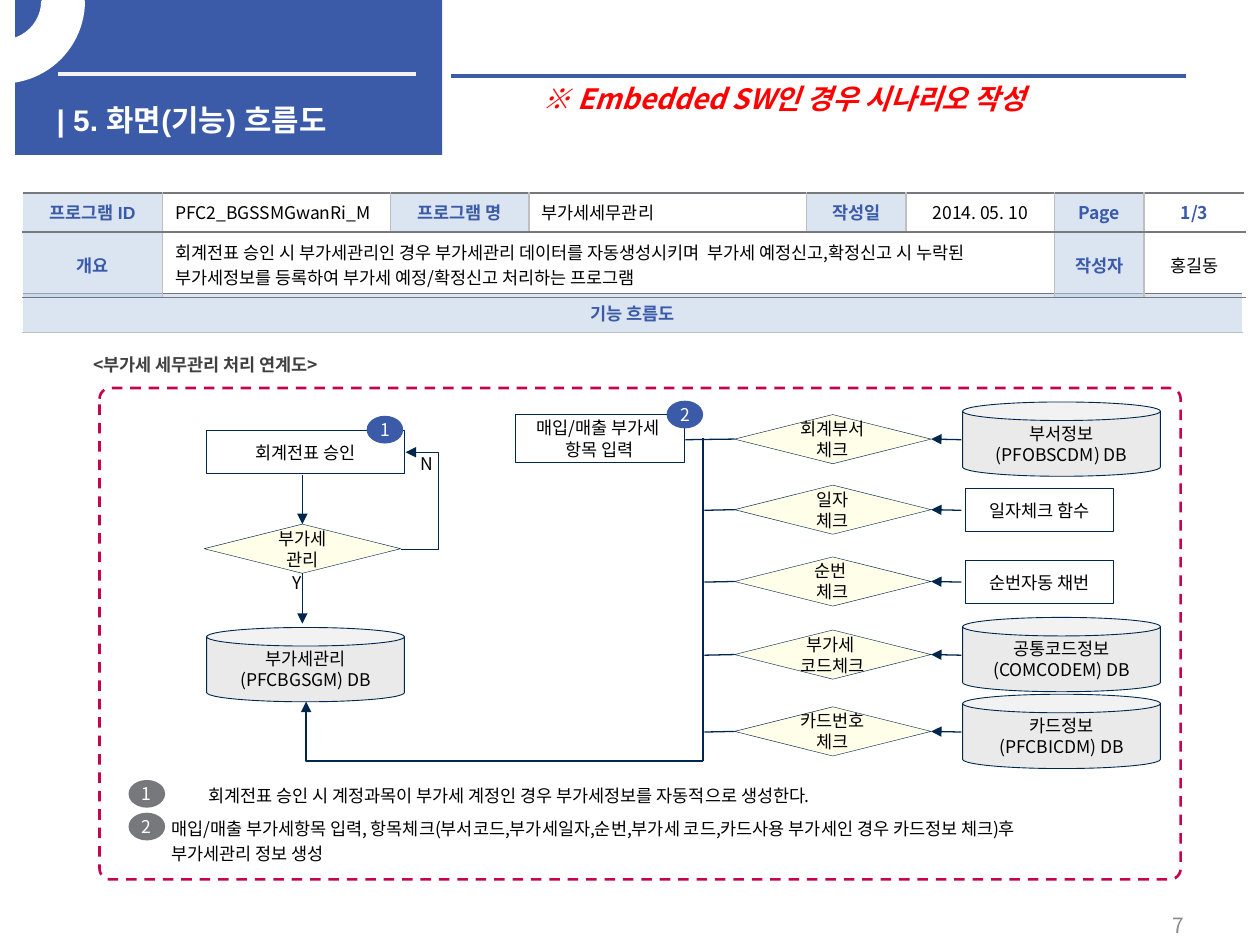
from lxml import etree
from pptx import Presentation
from pptx.dml.color import RGBColor
from pptx.enum.dml import MSO_LINE
from pptx.enum.shapes import MSO_CONNECTOR, MSO_SHAPE
from pptx.enum.text import MSO_ANCHOR, MSO_AUTO_SIZE, PP_ALIGN
from pptx.oxml.ns import qn
from pptx.util import Inches, Pt

RECT, CAN, OVAL = MSO_SHAPE.RECTANGLE, MSO_SHAPE.CAN, MSO_SHAPE.OVAL
CHECK, ROUND, ARC = MSO_SHAPE.FLOWCHART_DECISION, MSO_SHAPE.ROUNDED_RECTANGLE, MSO_SHAPE.BLOCK_ARC
LINE, ELBOW = MSO_CONNECTOR.STRAIGHT, MSO_CONNECTOR.ELBOW
LEFT, MID, RIGHT = PP_ALIGN.LEFT, PP_ALIGN.CENTER, PP_ALIGN.RIGHT
TOP, CENTER = MSO_ANCHOR.TOP, MSO_ANCHOR.MIDDLE
DASH, FIXED = MSO_LINE.DASH, MSO_AUTO_SIZE.NONE
FONT = "Noto Sans CJK KR"
BLUE, NAVY, GRAY, PALE = "3B5AA8", "00264C", "77787B", "B9CDE5"
SILVER, WHITE, BLACK, CREAM = "BFBFBF", "FFFFFF", "000000", "FFFFE9"
color = RGBColor.from_string


def write(frame, text, tint=BLACK, align=MID, size=10, bold=False, face=FONT):
    frame.text = text
    for para in frame.paragraphs:
        para.alignment = align
        for run in para.runs:
            run.font.size = Pt(size)
            run.font.bold = bold
            run.font.name = face
            run.font.color.rgb = color(tint)
            etree.SubElement(run._r.get_or_add_rPr(), qn("a:ea"), typeface=FONT)


def block(kind, x, y, w, h, fill=None, edge=None, width=0.5, text="", pad=0.04, tint=BLACK):
    shape = slide.shapes.add_shape(kind, Inches(x), Inches(y), Inches(w), Inches(h))
    shape.shadow.inherit = False
    if fill:
        shape.fill.solid()
        shape.fill.fore_color.rgb = color(fill)
    else:
        shape.fill.background()
    if edge:
        shape.line.color.rgb = color(edge)
        shape.line.width = Pt(width)
    else:
        shape.line.fill.background()
    if text:
        frame = shape.text_frame
        frame.word_wrap = kind != OVAL
        frame.vertical_anchor = CENTER
        if kind != CHECK:
            frame.margin_left = frame.margin_right = Inches(pad)
            frame.margin_top = frame.margin_bottom = Inches(pad)
        write(frame, text, tint)
    return shape


deck = Presentation()
deck.slide_width, deck.slide_height = Inches(10), Inches(7.5)
slide = deck.slides.add_slide(deck.slide_layouts[5])

about = ("회계전표 승인 시 부가세관리인 경우 부가세관리 데이터를 자동생성시키며  부가세 예정신고,확정신고 시 누락된 "
         "부가세정보를 등록하여 부가세 예정/확정신고 처리하는 프로그램")
flow = (0.18, 2.33, [9.68], [0.31, 4.15], [
    [("기능 흐름도", "head")],
    [("", "blank")]])
info = (0.18, 1.53, [1.11, 1.81, 1.1, 2.2, 0.79, 1.18, 0.71, 0.8], [0.31, 0.52], [
    [("프로그램 ID", "head"), ("PFC2_BGSSMGwanRi_M", "left"), ("프로그램 명", "head"),
     ("부가세세무관리", "left"), ("작성일", "head"), ("2014. 05. 10", "mid"),
     ("Page", "head"), ("1/3", "bold")],
    [("개요", "head"), (about, "left"), None, None, None, None,
     ("작성자", "head"), ("홍길동", "mid")]])

for x, y, cols, rows, cells in (flow, info):
    table = slide.shapes.add_table(len(rows), len(cols), Inches(x), Inches(y),
                                   Inches(sum(cols)), Inches(sum(rows))).table
    table.first_row = table.horz_banding = False
    for col, w in zip(table.columns, cols):
        col.width = Inches(w)
    for row, h in zip(table.rows, rows):
        row.height = Inches(h)
    if len(cols) > 1:
        table.cell(1, 1).merge(table.cell(1, 5))
    for r, line in enumerate(cells):
        for c, item in enumerate(line):
            text, kind = item or ("", "span")
            cell = table.cell(r, c)
            cell.vertical_anchor = CENTER
            props = cell._tc.get_or_add_tcPr()
            single = len(cols) == 1
            sides = {"L": WHITE if c == 0 else SILVER,
                     "R": WHITE if c == len(cols) - 1 else SILVER,
                     "T": SILVER if kind == "blank" else GRAY,
                     "B": WHITE if kind == "blank" else SILVER if single else GRAY}
            for side, tint in sides.items():
                edge = etree.SubElement(props, qn("a:ln" + side), w=str(Pt(1)))
                solid = etree.SubElement(edge, qn("a:solidFill"))
                etree.SubElement(solid, qn("a:srgbClr"), val=tint)
            if kind == "head":
                cell.fill.solid()
                cell.fill.fore_color.rgb = color(PALE)
                tone = props.find(qn("a:solidFill")).find(qn("a:srgbClr"))
                etree.SubElement(tone, qn("a:alpha"), val="50000")
            else:
                cell.fill.background()
            if text:
                strong = kind in ("head", "bold")
                face = "Arial" if text in ("프로그램 ID", "개요") else FONT
                write(cell.text_frame, text, BLUE if strong else BLACK,
                      LEFT if kind == "left" else MID, bold=strong, face=face)

frame = block(ROUND, 0.79, 3.08, 8.58, 3.9, edge="C40452", width=1.5)
frame.adjustments[0] = 0.022
frame.line.dash_style = DASH

block(RECT, 1.64, 3.42, 1.57, 0.34, edge=NAVY, text="회계전표 승인")
block(CAN, 1.64, 4.98, 1.57, 0.59, "EAEAEA", NAVY, text="부가세관리\n(PFCBGSGM) DB")
tax = block(CHECK, 1.62, 4.16, 1.56, 0.39, CREAM, NAVY, 0.25, "부가세\n관리")
block(RECT, 4.09, 3.29, 1.34, 0.38, edge=NAVY, text="매입/매출 부가세 \n항목 입력")

joins = [
    (LINE, 2.4, 3.77, 2.4, 4.16, "tail", None, (tax, 0)),
    (LINE, 2.4, 4.55, 2.4, 4.95, "tail", (tax, 2), None),
    (ELBOW, 3.18, 4.36, 3.22, 3.59, "tail", None, None),
    (LINE, 5.58, 6.04, 5.58, 3.48, None, None, None),
    (ELBOW, 5.58, 6.04, 2.43, 5.57, "tail", None, None)]
steps = [
    (3.49, "회계부서\n체크", CAN, "부서정보\n(PFOBSCDM) DB"),
    (4.05, "일자\n체크", RECT, "일자체크 함수"),
    (4.62, "순번 \n체크", RECT, "순번자동 채번"),
    (5.2, "부가세 \n코드체크", CAN, "공통코드정보\n(COMCODEM) DB"),
    (5.81, "카드번호체크", CAN, "카드정보\n(PFCBICDM) DB")]
for i, (y, test, kind, text) in enumerate(steps):
    gem = block(CHECK, 5.83, y - 0.2, 1.56, 0.39, CREAM, NAVY, 0.25, test)
    if kind == CAN:
        block(CAN, 7.64, y - 0.3, 1.57, 0.59, "EAEAEA", NAVY, text=text)
    else:
        block(RECT, 7.66, y - 0.17, 1.18, 0.34, edge=NAVY, text=text)
    joins.append((LINE, 5.59 if i else 5.44, y, 5.83, y, None, None, (gem, 1)))
    joins.append((LINE, 7.39, y, 7.63, y, "head", (gem, 3), None))

for kind, x1, y1, x2, y2, arrow, start, end in joins:
    link = slide.shapes.add_connector(kind, Inches(x1), Inches(y1), Inches(x2), Inches(y2))
    link.line.color.rgb = color(NAVY)
    link.line.width = Pt(0.75)
    props = link.element.spPr
    if arrow:
        etree.SubElement(props.find(qn("a:ln")), qn(f"a:{arrow}End"), type="triangle")
    etree.SubElement(props, qn("a:effectLst"))
    if kind == ELBOW:
        geom = props.find(qn("a:prstGeom"))
        if x2 < x1:
            geom.set("prst", "bentConnector2")
        else:
            etree.SubElement(geom.find(qn("a:avLst")), qn("a:gd"), name="adj1", fmla="val 755500")
    if start:
        link.begin_connect(*start)
    if end:
        link.end_connect(*end)

for x, y, fill, text in ((5.29, 3.18, BLUE, "2"), (2.91, 3.3, BLUE, "1"),
                         (1.02, 6.19, GRAY, "1"), (1.02, 6.45, GRAY, "2")):
    block(OVAL, x, y, 0.29, 0.22, fill, text=text, pad=0.06, tint=WHITE)

block(RECT, 0.12, 0, 3.39, 1.23, BLUE)
for x1, x2, y, tint in ((0.46, 3.3, 0.59, "F2F2F2"), (3.58, 9.41, 0.6, BLUE)):
    rule = slide.shapes.add_connector(LINE, Inches(x1), Inches(y), Inches(x2), Inches(y))
    rule.line.color.rgb = color(tint)
    rule.line.width = Pt(2.25)
    etree.SubElement(rule.element.spPr, qn("a:effectLst"))

title = slide.shapes.title
title.left, title.top, title.width, title.height = Inches(0.35), Inches(0.76), Inches(3.07), Inches(0.32)
title.text_frame.word_wrap = True
title.text_frame.auto_size = FIXED
title.text_frame.vertical_anchor = TOP
write(title.text_frame, "| 5. 화면(기능) 흐름도", WHITE, LEFT, 17, True, "Arial")
title.element.getparent().append(title.element)

arc = block(ARC, -0.63, -0.63, 1.29, 1.28, WHITE, WHITE, 2)
for i, value in enumerate((161.59, 0, 0.25)):
    arc.adjustments[i] = value
arc.element.spPr.find(qn("a:xfrm")).set("flipV", "1")

second = ("매입/매출 부가세항목 입력, 항목체크(부서코드,부가세일자,순번,부가세 코드,카드사용 부가세인 경우 카드정보 체크)후\n"
          "부가세관리 정보 생성")
notes = [
    (0.64, 2.73, 5.43, 0.28, "<부가세 세무관리 처리 연계도>", "404040", LEFT, 10, True, True, 1.2),
    (2.22, 4.49, 0.28, 0.27, "Y", BLACK, MID, 10, False, False, 1),
    (3.23, 3.55, 0.31, 0.27, "N", BLACK, MID, 10, False, False, 1),
    (1.25, 6.15, 5.58, 0.28, "회계전표 승인 시 계정과목이 부가세 계정인 경우 부가세정보를 자동적으로 생성한다.",
     BLACK, MID, 10, False, False, 1.2),
    (1.26, 6.41, 7.77, 0.54, second, BLACK, LEFT, 10, False, False, 1.2),
    (4.21, 0.6, 5.59, 0.37, "※ Embedded SW인 경우 시나리오 작성", "FF0000", LEFT, 16, True, True, 1),
    (7.17, 7.24, 2.33, 0.21, "7", "8C8C8C", RIGHT, 12, False, True, 1)]
for x, y, w, h, text, tint, align, size, bold, wrap, gap in notes:
    box = slide.shapes.add_textbox(Inches(x), Inches(y), Inches(w), Inches(h)).text_frame
    box.word_wrap = wrap
    box.vertical_anchor = CENTER if text == "7" else TOP
    write(box, text, tint, align, size, bold)
    for para in box.paragraphs:
        para.line_spacing = gap
        para.runs[0].font.italic = size == 16

deck.save("out.pptx")
